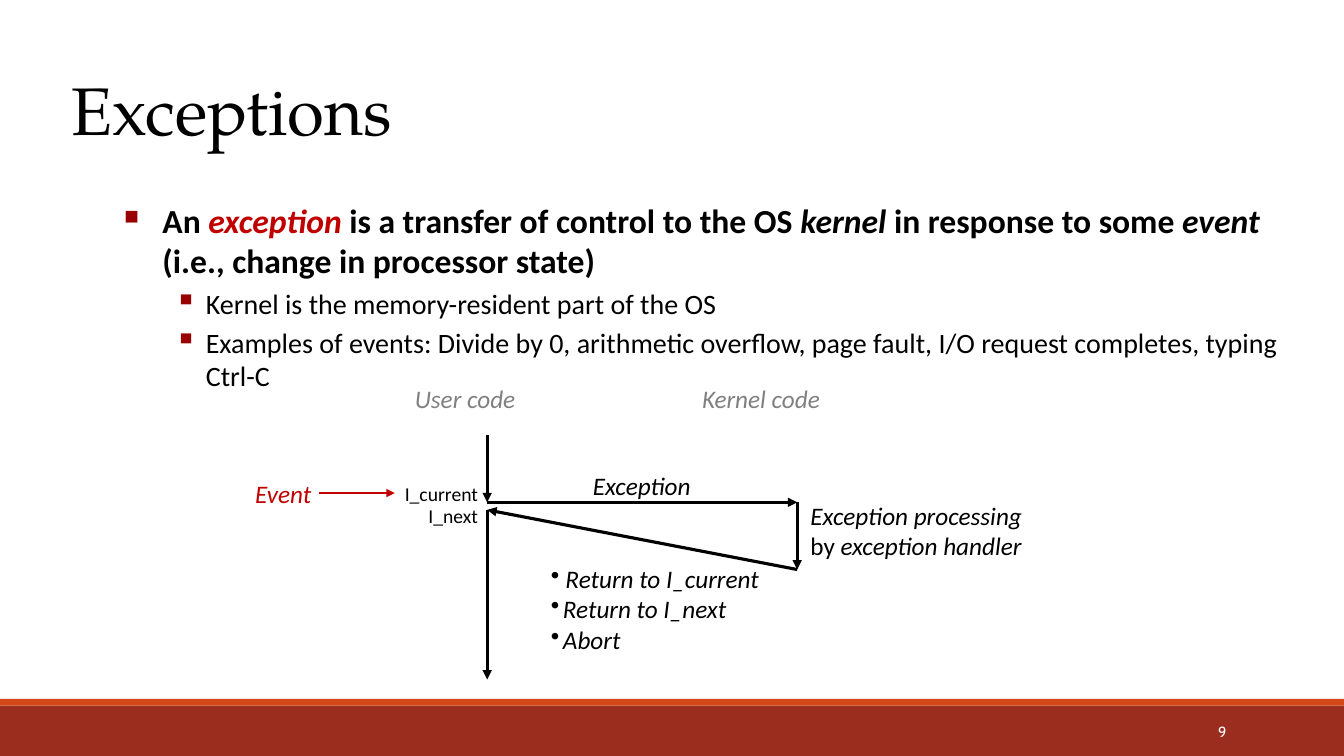
from lxml import etree
from pptx import Presentation
from pptx.dml.color import RGBColor
from pptx.enum.shapes import MSO_CONNECTOR, MSO_SHAPE
from pptx.enum.text import MSO_ANCHOR, PP_ALIGN
from pptx.oxml.ns import qn
from pptx.util import Inches, Pt

BLACK = RGBColor(0x00, 0x00, 0x00)
WHITE = RGBColor(0xFF, 0xFF, 0xFF)
GRAY = RGBColor(0x80, 0x80, 0x80)
RED = RGBColor(0xC0, 0x00, 0x00)
BULLET_RED = RGBColor(0x99, 0x00, 0x00)
BRICK = RGBColor(0x9B, 0x2D, 0x1F)
ORANGE = RGBColor(0xD3, 0x48, 0x17)
STRAIGHT = MSO_CONNECTOR.STRAIGHT
RECTANGLE = MSO_SHAPE.RECTANGLE
MIDDLE, TOP = MSO_ANCHOR.MIDDLE, MSO_ANCHOR.TOP
LEFT, RIGHT = PP_ALIGN.LEFT, PP_ALIGN.RIGHT
COLUMNS, ROWS = 80, 45


class Deck:
    """Draws styled elements on a slide with a grid of 80 columns by 45 rows."""

    def __init__(self, slide, width, height, font):
        self.shapes = slide.shapes
        self.column, self.row = width / COLUMNS, height / ROWS
        self.font = font

    def place(self, *cells):
        units = (self.column, self.row) * 2
        return [round(cell * unit) for cell, unit in zip(cells, units)]

    def band(self, top, height, color):
        band = self.shapes.add_shape(RECTANGLE, *self.place(0, top, COLUMNS, height))
        band.shadow.inherit = False
        band.fill.solid()
        band.fill.fore_color.rgb = color
        band.line.fill.background()

    def text(self, cells, lines, size=18, color=BLACK, italic=False,
             font=None, anchor=TOP, align=LEFT):
        frame = self.shapes.add_textbox(*self.place(*cells)).text_frame
        frame.word_wrap = True
        frame.vertical_anchor = anchor
        frame.text = "\n".join(lines)
        for paragraph in frame.paragraphs:
            paragraph.alignment = align
            for run in paragraph.runs:
                self.style(run, size, color, italic, font=font)
        return frame.paragraphs

    def style(self, run, size, color=BLACK, italic=False, bold=False, font=None):
        run.font.name = font or self.font
        run.font.size = Pt(size)
        run.font.color.rgb = color
        run.font.italic = italic
        run.font.bold = bold

    def runs(self, paragraph, parts, size, bold=False):
        paragraph.clear()
        for words, color, italic in parts:
            run = paragraph.add_run()
            run.text = words
            self.style(run, size, color, italic, bold)

    def bullet(self, paragraph, mark, left=0, hang=0, color=BLACK, percent=100):
        properties = paragraph._p.get_or_add_pPr()
        properties.set("marL", str(Inches(left)))
        properties.set("indent", str(-Inches(hang)))
        tint = etree.SubElement(properties, qn("a:buClr"))
        etree.SubElement(tint, qn("a:srgbClr"), val=str(color))
        etree.SubElement(properties, qn("a:buSzPct"), val=str(percent * 1000))
        etree.SubElement(properties, qn("a:buChar"), char=mark)

    def arrow(self, start, end, color=BLACK, weight=2.25):
        arrow = self.shapes.add_connector(STRAIGHT, *self.place(*start, *end))
        arrow.line.color.rgb = color
        arrow.line.width = Pt(weight)
        etree.SubElement(arrow.line._get_or_add_ln(), qn("a:tailEnd"), type="triangle")
        etree.SubElement(arrow._element.spPr, qn("a:effectLst"))


presentation = Presentation()
presentation.slide_width, presentation.slide_height = Inches(13.33), Inches(7.5)
slide = presentation.slides.add_slide(presentation.slide_layouts[6])
deck = Deck(slide, presentation.slide_width, presentation.slide_height, "Calibri")

deck.band(42, 3, BRICK)
deck.band(41.6, 0.4, ORANGE)
deck.text((3.66, 4.56, 49.4, 3.8), ["Exceptions"], 48,
          font="TeX Gyre Pagella", anchor=MIDDLE)

definition, *details = deck.text((6.8, 11.6, 71.6, 25.2), [
    "",
    "Kernel is the memory-resident part of the OS",
    "Examples of events: Divide by 0, arithmetic overflow, page fault, "
    "I/O request completes, typing Ctrl-C",
], 20)
deck.runs(definition, [
    ("An ", BLACK, False),
    ("exception", RED, True),
    (" is a transfer of control to the OS ", BLACK, False),
    ("kernel", BLACK, True),
    (" in response to some ", BLACK, False),
    ("event", BLACK, True),
    (" (i.e., change in processor state)", BLACK, False),
], 24, bold=True)
definition.space_before = Pt(4.8)
deck.bullet(definition, "■", 0.38, 0.38, BULLET_RED, 60)
for detail in details:
    detail.level = 1
    detail.space_before = Pt(4)
    deck.bullet(detail, "▪", 0.81, 0.31, BULLET_RED, 110)

for heading, column in (("User code", 24.1), ("Kernel code", 41.2)):
    deck.text((column, 22.5, 11, 3), [heading], color=GRAY, italic=True)

user, kernel = 29, 47.45
current, following, handled = 29.9, 30.35, 33.9
for start, end in (
    ((user, 25.9), (user, current)),
    ((user, current), (kernel, current)),
    ((kernel, current), (kernel, handled)),
    ((kernel, handled), (user, following)),
    ((user, following), (user, 40.45)),
):
    deck.arrow(start, end)

deck.text((34.7, 27.7, 7.5, 2.4), ["Exception"], italic=True)
processing, handler = deck.text((47.65, 29.5, 14.1, 6),
                                ["Exception processing", ""], italic=True)
deck.runs(handler, [("by ", BLACK, False), ("exception handler", BLACK, True)], 18)

outcomes = deck.text((32.2, 33.25, 13.8, 6),
                     [" Return to I_current", "Return to I_next", "Abort"], italic=True)
for outcome, indent in zip(outcomes, (0, 0.12, 0.12)):
    deck.bullet(outcome, "•", indent, indent)

deck.text((14.6, 28.15, 5.3, 2.4), ["Event"], color=RED, italic=True)
deck.arrow((19, 29.35), (23.5, 29.35), RED, 2)
for instruction, row in (("I_current", 28.4), ("I_next", 29.7)):
    deck.text((22, row, 7.05, 2), [instruction], 14, align=RIGHT)

deck.text((65, 42.35, 8.6, 2.4), ["9"], 10.5, WHITE,
          font="Cabin", anchor=MIDDLE, align=RIGHT)

presentation.save("out.pptx")
